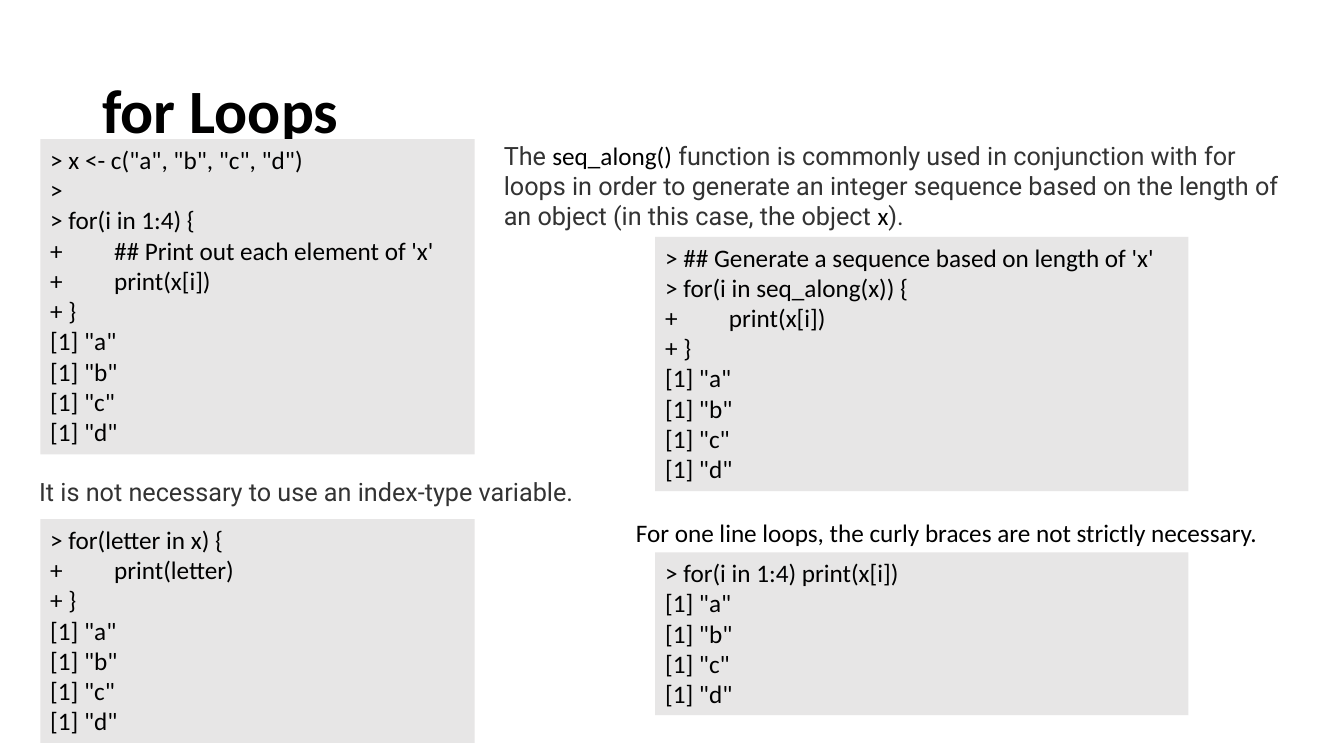
"""Build a slide on for loops in R, with code samples and explanations."""
from dataclasses import dataclass

from lxml import etree
from pptx import Presentation
from pptx.dml.color import RGBColor
from pptx.enum.shapes import MSO_SHAPE
from pptx.enum.text import MSO_ANCHOR, MSO_AUTO_SIZE, PP_ALIGN
from pptx.oxml.ns import qn
from pptx.util import Pt

RECTANGLE = MSO_SHAPE.RECTANGLE
TOP, MIDDLE = MSO_ANCHOR.TOP, MSO_ANCHOR.MIDDLE
LEFT = PP_ALIGN.LEFT
GROW = MSO_AUTO_SIZE.SHAPE_TO_FIT_TEXT


@dataclass(frozen=True)
class Theme:
    ink: RGBColor = RGBColor(0x00, 0x00, 0x00)
    prose_ink: RGBColor = RGBColor(0x33, 0x33, 0x33)
    code_fill: RGBColor = RGBColor(0xE7, 0xE6, 0xE6)
    main_font: str = "Calibri"
    prose_font: str = "Roboto"
    title_size: float = 44
    body_size: float = 18
    line_height: float = 21.8
    code_padding: float = 7.2
    code_indent: float = 45.6


class LessonSlide:
    def __init__(self, slide, theme):
        self.slide = slide
        self.theme = theme

    def style(self, run, size, prose=False, bold=False):
        theme = self.theme
        run.font.name = theme.prose_font if prose else theme.main_font
        run.font.color.rgb = theme.prose_ink if prose else theme.ink
        run.font.size = Pt(size)
        run.font.bold = bold

    def text_frame(self, left, top, width, height):
        box = self.slide.shapes.add_textbox(Pt(left), Pt(top), Pt(width), Pt(height))
        box.text_frame.word_wrap = True
        return box.text_frame

    def title(self, wording, left, top, width, height):
        frame = self.text_frame(left, top, width, height)
        frame.vertical_anchor = MIDDLE
        frame.text = wording
        heading = frame.paragraphs[0]
        heading.line_spacing = 0.9
        self.style(heading.runs[0], self.theme.title_size, bold=True)

    def note(self, parts, left, top, width, height):
        frame = self.text_frame(left, top, width, height)
        frame.auto_size = GROW
        for wording, prose in parts:
            run = frame.paragraphs[0].add_run()
            run.text = wording
            self.style(run, self.theme.body_size, prose)

    def code(self, lines, left, top, width):
        theme = self.theme
        height = len(lines) * theme.line_height + theme.code_padding
        panel = self.slide.shapes.add_shape(
            RECTANGLE, Pt(left), Pt(top), Pt(width), Pt(height))
        panel.shadow.inherit = False
        panel.fill.solid()
        panel.fill.fore_color.rgb = theme.code_fill
        panel.line.fill.background()
        frame = panel.text_frame
        frame.word_wrap = True
        frame.auto_size = GROW
        frame.vertical_anchor = TOP
        frame.text = "\n".join(lines)
        for line in frame.paragraphs:
            line.alignment = LEFT
            self.indent_stop(line)
            for run in line.runs:
                self.style(run, theme.body_size)

    def indent_stop(self, line):
        stops = etree.SubElement(line._p.get_or_add_pPr(), qn("a:tabLst"))
        position = str(int(Pt(self.theme.code_indent)))
        etree.SubElement(stops, qn("a:tab"), pos=position, algn="l")


def main():
    deck = Presentation()
    deck.slide_width, deck.slide_height = Pt(960), Pt(540)
    lesson = LessonSlide(deck.slides.add_slide(deck.slide_layouts[6]), Theme())

    printed = [f'[1] "{letter}"' for letter in "abcd"]
    left_column = {"left": 28.8, "width": 310.3}
    right_column = {"left": 468, "width": 380.9}

    lesson.title("for Loops", 66, 28.8, 828, 104.4)
    lesson.code(['> x <- c("a", "b", "c", "d")', ">", "> for(i in 1:4) {",
                 "+\t## Print out each element of 'x'", "+\tprint(x[i])", "+ }",
                 *printed], top=99.4, **left_column)
    lesson.code(["> ## Generate a sequence based on length of 'x'",
                 "> for(i in seq_along(x)) {", "+\tprint(x[i])", "+ }",
                 *printed], top=169.2, **right_column)
    lesson.note([("The ", True), ("seq_along()", False),
                 (" function is commonly used in conjunction with for loops in order "
                  "to generate an integer sequence based on the length of an object "
                  "(in this case, the object ", True),
                 ("x", False), (").", True)], 352.8, 96.5, 578.2, 72.7)
    lesson.note([("It is not necessary to use an index-type variable.", True)],
                20.9, 337, 406, 29)
    lesson.code(["> for(letter in x) {", "+\tprint(letter)", "+ }", *printed],
                top=370.8, **left_column)
    lesson.note([("For one line loops, the curly braces are not strictly necessary.",
                  False)], 447.1, 365.8, 463.7, 29)
    lesson.code(["> for(i in 1:4) print(x[i])", *printed], top=394.6, **right_column)

    deck.save("out.pptx")


if __name__ == "__main__":
    main()
